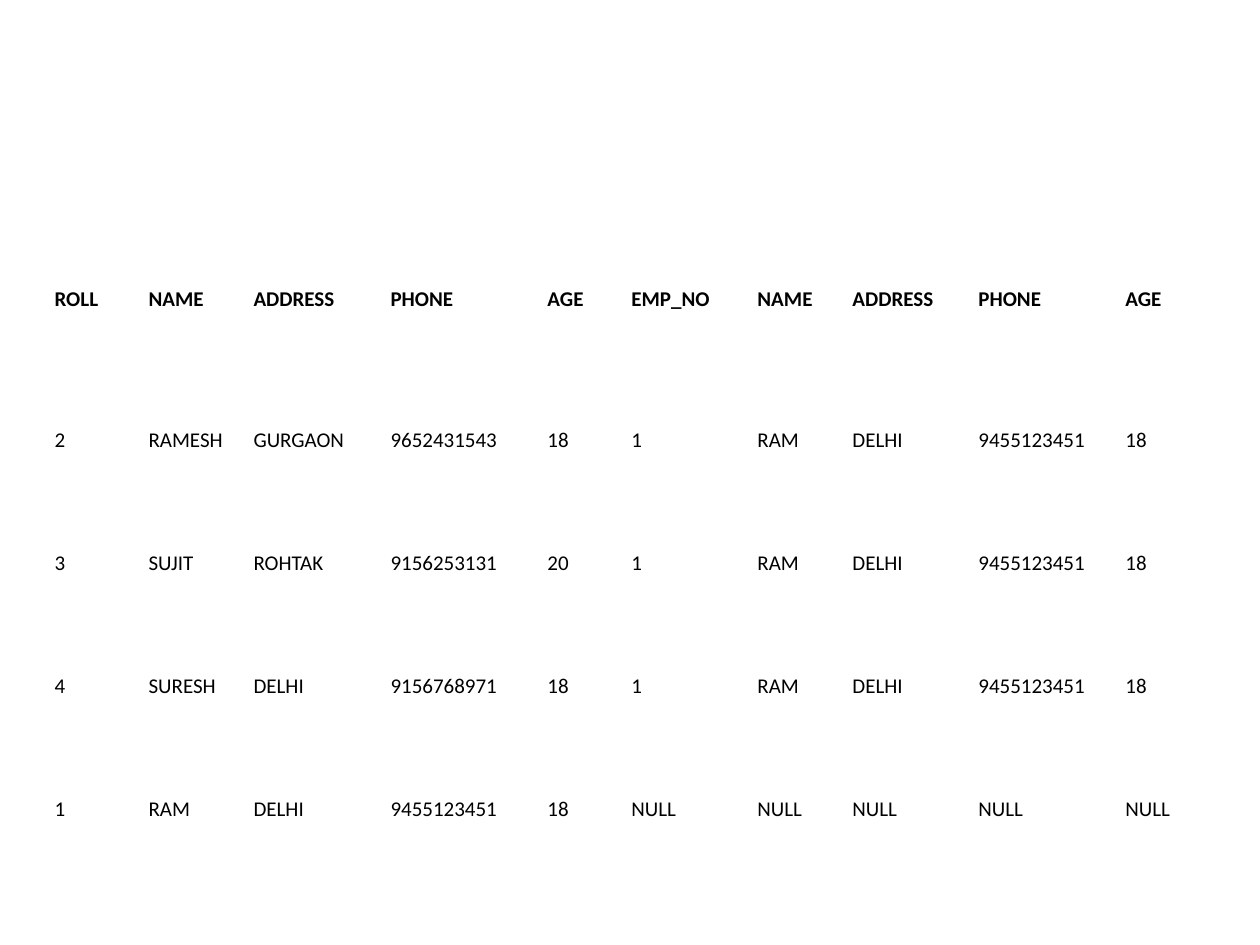
import pptx
import pptx.dml.color
import pptx.enum.text
import pptx.util

EMU_PER_PX = 914400 / 126
BLACK = pptx.dml.color.RGBColor(0x00, 0x00, 0x00)
WHITE = pptx.dml.color.RGBColor(0xFF, 0xFF, 0xFF)

COLUMN_WIDTHS = [94, 105, 137, 157, 84, 126, 95, 126, 147, 105]
ROW_HEIGHTS = [159, 123, 123, 123, 123]

PERSON_FIELDS = ["NAME", "ADDRESS", "PHONE", "AGE"]
RAM = ["RAM", "DELHI", "9455123451", "18"]
OTHER_STUDENTS = [
    ["2", "RAMESH", "GURGAON", "9652431543", "18"],
    ["3", "SUJIT", "ROHTAK", "9156253131", "20"],
    ["4", "SURESH", "DELHI", "9156768971", "18"],
]


def px(length):
    return pptx.util.Emu(round(length * EMU_PER_PX))


class SlideBuilder:
    """Holds the text style and the current page."""

    def __init__(self, page, font="Calibri", size=12):
        self.page = page
        self.font = font
        self.size = pptx.util.Pt(size)

    def table(self, left, top, widths, heights, rows):
        frame = self.page.shapes.add_table(
            len(rows), len(widths), px(left), px(top), px(sum(widths)), px(sum(heights)))
        table = frame.table
        table.horz_banding = False
        for column, width in zip(table.columns, widths):
            column.width = px(width)
        for row, height, values in zip(table.rows, heights, rows):
            row.height = px(height)
            for cell, value in zip(row.cells, values):
                self.cell(cell, value, bold=values is rows[0])

    def cell(self, cell, value, bold):
        cell.fill.solid()
        cell.fill.fore_color.rgb = WHITE
        cell.vertical_anchor = pptx.enum.text.MSO_ANCHOR.MIDDLE
        cell.text_frame.text = value
        for span in cell.text_frame.paragraphs[0].runs:
            span.font.name = self.font
            span.font.size = self.size
            span.font.bold = bold
            span.font.color.rgb = BLACK


def main():
    deck = pptx.Presentation()
    deck.slide_width, deck.slide_height = px(1260), px(945)
    builder = SlideBuilder(deck.slides.add_slide(deck.slide_layouts[6]))

    # Left join of students with employees; the unmatched student comes last
    header = ["ROLL", *PERSON_FIELDS, "EMP_NO", *PERSON_FIELDS]
    matched = [[*student, "1", *RAM] for student in OTHER_STUDENTS]
    unmatched = ["1", *RAM, *["NULL"] * 5]
    builder.table(42, 220, COLUMN_WIDTHS, ROW_HEIGHTS, [header, *matched, unmatched])

    deck.save("out.pptx")


if __name__ == "__main__":
    main()
